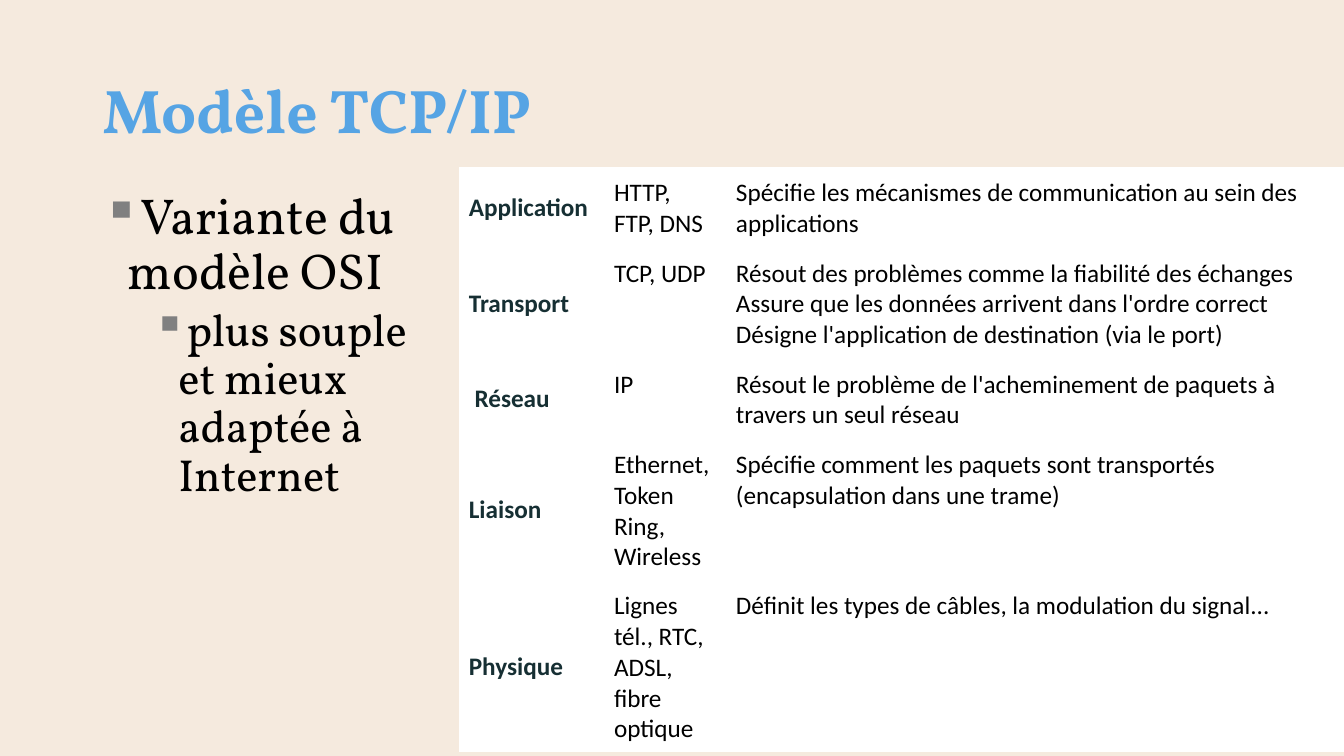
from lxml.etree import SubElement
from pptx import Presentation
from pptx.dml.color import RGBColor
from pptx.enum.text import MSO_ANCHOR
from pptx.oxml.ns import qn
from pptx.util import Inches, Pt

CREAM = RGBColor(0xF5, 0xEA, 0xDE)
BLUE = RGBColor(0x56, 0xA4, 0xE4)
GRAY = RGBColor(0x80, 0x80, 0x80)
DARK = RGBColor(0x16, 0x2F, 0x33)
BLACK = RGBColor(0x00, 0x00, 0x00)
WHITE = RGBColor(0xFF, 0xFF, 0xFF)

COLUMN_WIDTHS = (1.44, 1.21, 6.14)
ROW_HEIGHTS = (0.73, 0.7, 0.7, 0.7, 0.7)
LAYERS = (
    ("Application", "HTTP, FTP, DNS",
     "Spécifie les mécanismes de communication au sein des applications"),
    ("Transport", "TCP, UDP",
     "Résout des problèmes comme la fiabilité des échanges\v"
     "Assure que les données arrivent dans l'ordre correct\n"
     "Désigne l'application de destination (via le port)"),
    (" Réseau", "IP",
     "Résout le problème de l'acheminement de paquets à travers un seul réseau"),
    ("Liaison", "Ethernet, Token Ring, Wireless",
     "Spécifie comment les paquets sont transportés (encapsulation dans une trame)"),
    ("Physique", "Lignes tél., RTC, ADSL, fibre optique",
     "Définit les types de câbles, la modulation du signal..."),
)


class SlideBuilder:
    """Holds the fonts and the current slide, and draws its elements."""

    text_font = "Vollkorn"
    table_font = "Calibri"

    def __init__(self, presentation):
        self.slide = presentation.slides.add_slide(presentation.slide_layouts[6])
        self.slide.background.fill.solid()
        self.slide.background.fill.fore_color.rgb = CREAM

    def format_runs(self, paragraph, name, size, color, bold=False):
        for run in paragraph.runs:
            run.font.name = name
            run.font.size = Pt(size)
            run.font.color.rgb = color
            run.font.bold = bold

    def add_text_frame(self, left, top, width, height, anchor):
        box = self.slide.shapes.add_textbox(
            Inches(left), Inches(top), Inches(width), Inches(height))
        box.text_frame.word_wrap = True
        box.text_frame.vertical_anchor = anchor
        return box.text_frame

    def add_title(self, text, left, top, width, height):
        text_frame = self.add_text_frame(left, top, width, height, MSO_ANCHOR.MIDDLE)
        text_frame.text = text
        paragraph = text_frame.paragraphs[0]
        paragraph.line_spacing = 0.9
        self.format_runs(paragraph, self.text_font, 44, BLUE, True)

    def add_bullets(self, texts, left, top, width, height):
        text_frame = self.add_text_frame(left, top, width, height, MSO_ANCHOR.TOP)
        text_frame.text = "\n".join(texts)
        for level, paragraph in enumerate(text_frame.paragraphs):
            paragraph.level = level
            paragraph.line_spacing = 0.9
            paragraph.space_before = Pt(10 - 5 * level)
            self.format_runs(paragraph, self.text_font, 36 - 4 * level, BLACK)
            self.add_bullet(paragraph, 0.25 + 0.5 * level)

    def add_bullet(self, paragraph, indent):
        properties = paragraph._p.get_or_add_pPr()
        properties.set("marL", str(Inches(indent)))
        properties.set("indent", str(Inches(-0.25)))
        color = SubElement(properties, qn("a:buClr"))
        SubElement(color, qn("a:srgbClr"), val=str(GRAY))
        SubElement(properties, qn("a:buChar"), char="▪")

    def add_table(self, rows, left, top, width, height):
        table = self.slide.shapes.add_table(
            len(rows), len(COLUMN_WIDTHS),
            Inches(left), Inches(top), Inches(width), Inches(height)).table
        table.first_row = False
        table.horz_banding = False
        table._tbl.tblPr.find(qn("a:tableStyleId")).text = (
            "{2D5ABB26-0587-4C30-8999-92F81FD0307C}")
        for column, column_width in zip(table.columns, COLUMN_WIDTHS):
            column.width = Inches(column_width)
        for row, row_height, texts in zip(table.rows, ROW_HEIGHTS, rows):
            row.height = Inches(row_height)
            for index, (cell, text) in enumerate(zip(row.cells, texts)):
                self.fill_cell(cell, text, index == 0)

    def fill_cell(self, cell, text, is_layer_name):
        cell.margin_left = cell.margin_right = Inches(0.1)
        cell.margin_top = cell.margin_bottom = Inches(0.1)
        cell.vertical_anchor = MSO_ANCHOR.MIDDLE if is_layer_name else MSO_ANCHOR.TOP
        cell.fill.solid()
        cell.fill.fore_color.rgb = WHITE
        cell.text_frame.text = text
        color = DARK if is_layer_name else BLACK
        for paragraph in cell.text_frame.paragraphs:
            self.format_runs(paragraph, self.table_font, 18, color, is_layer_name)


def main():
    presentation = Presentation()
    presentation.slide_width = Inches(13.33)
    presentation.slide_height = Inches(7.5)
    builder = SlideBuilder(presentation)
    builder.add_title("Modèle TCP/IP", 0.92, 0.4, 11.5, 1.45)
    builder.add_bullets(
        ("Variante du modèle OSI", "plus souple et mieux adaptée à Internet"),
        0.92, 1.85, 3.35, 5.43)
    builder.add_table(LAYERS, 4.55, 1.66, 8.78, 5.8)
    presentation.save("out.pptx")


if __name__ == "__main__":
    main()
